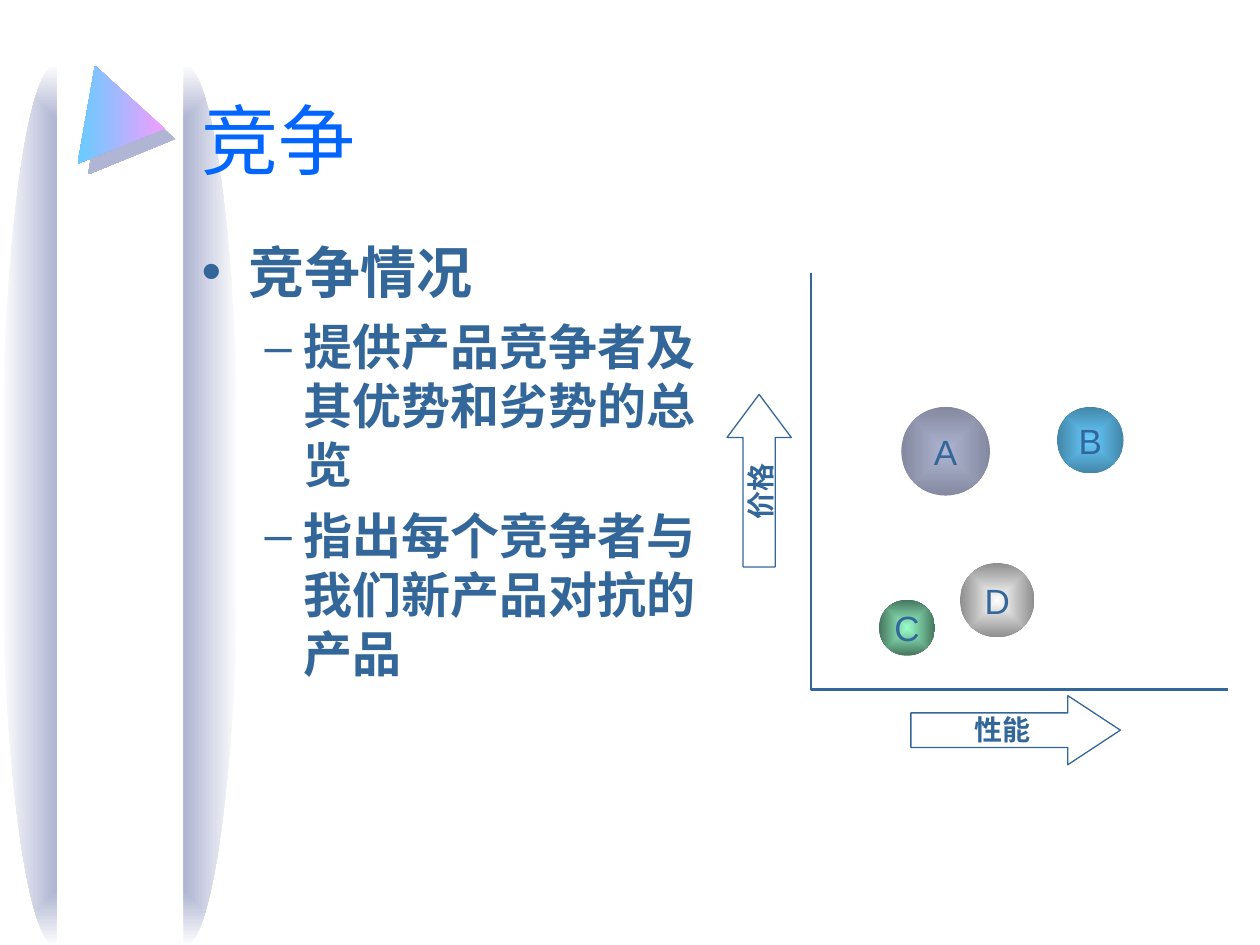
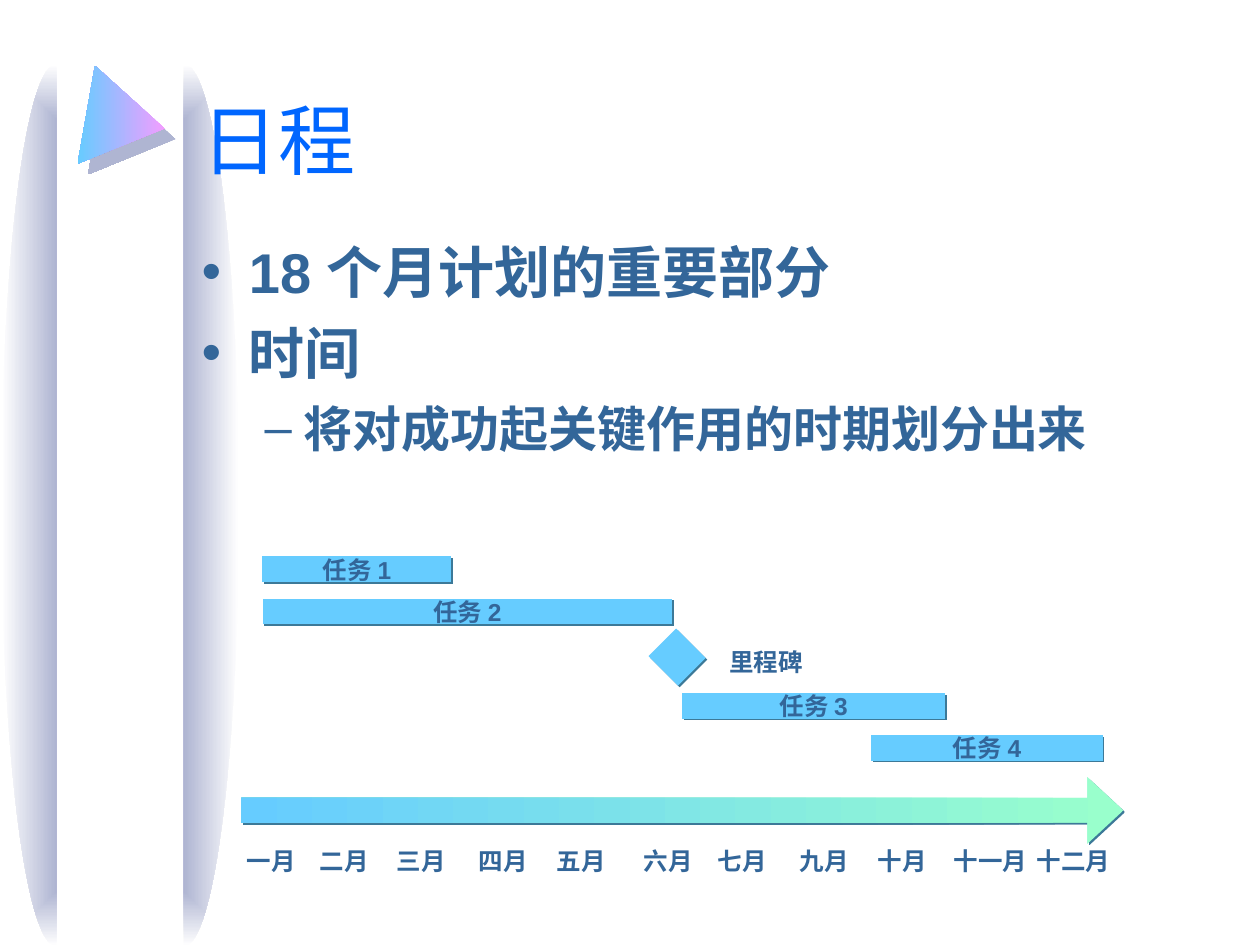
import dataclasses

import pptx
import pptx.dml.color
import pptx.enum.shapes
import pptx.enum.text
import pptx.oxml
import pptx.oxml.ns
import pptx.util

Pt = pptx.util.Pt
SHAPES = pptx.enum.shapes.MSO_SHAPE
ALIGN = pptx.enum.text.PP_ALIGN
ANCHOR = pptx.enum.text.MSO_ANCHOR
AUTO_SIZE = pptx.enum.text.MSO_AUTO_SIZE
qn = pptx.oxml.ns.qn


@dataclasses.dataclass(frozen=True)
class Theme:
    title: str = "0066FF"
    text: str = "336699"
    lavender: str = "AFB5D2"
    sky: str = "66CCFF"
    mint: str = "99FFCC"
    pink: str = "FF99FF"
    white: str = "FFFFFF"
    bar_shadow: str = "3C7998"
    title_font: str = "Times New Roman"
    font: str = "Arial"
    title_size: float = 44
    circle_size: float = 20
    axis_size: float = 16
    label_size: float = 14


THEME = Theme()

TITLE_BOX = (108, 19.44, 612, 90)
BODY_LEVELS = [
    {"size": 32, "bullet": "•", "left": 27, "hanging": 27, "before": 8},
    {"size": 28, "bullet": "–", "left": 58.5, "hanging": 22.5, "before": 7},
]
CRESCENTS = [(0.7, 90, 270), (73.7, 270, 90)]

COMPETITION = {
    "title": "竞争",
    "body_box": (108, 132, 306, 324),
    "body": [
        (0, "竞争情况"),
        (1, "提供产品竞争者及其优势和劣势的总览"),
        (1, "指出每个竞争者与我们新产品对抗的产品"),
    ],
}
COMPETITORS = [
    ("A", 515, 232.5, 50.7, THEME.lavender, "84899F"),
    ("B", 604, 232.5, 38, THEME.sky, "4386A8"),
    ("C", 502.3, 342.7, 32, THEME.mint, "46755E"),
    ("D", 548.6, 321.7, 42.5, THEME.white, "8E8E8E"),
]
AXES = [(463.5, 156), (463.5, 394), (702, 394)]
AXIS_ARROWS = [
    ("性能", (520.5, 397.5, 119.7, 39.5), 0, 0.76),
    ("价格", (384.5, 256.3, 98.6, 36.7), 270, 0.67),
]

SCHEDULE = {
    "title": "日程",
    "body_box": (108, 132, 612, 162),
    "body": [
        (0, "18 个月计划的重要部分"),
        (0, "时间"),
        (1, "将对成功起关键作用的时期划分出来"),
    ],
}
TASKS = [
    ("任务 1", 150, 318, 108),
    ("任务 2", 150, 342, 234),
    ("任务 3", 390, 396, 150),
    ("任务 4", 498, 420, 132),
]
TASK_HEIGHT = 14.7
MILESTONE = ("里程碑", (365.8, 358.6, 144, 31.7), (375.8, 363.6, 22.3, 23.8))
TIMELINE_BOX = (138, 444, 504, 38.2)
MONTHS = [
    ("一月", 134), ("二月", 175.7), ("三月", 219.6), ("四月", 266.4),
    ("五月", 311), ("六月", 360.7), ("七月", 403.2), ("九月", 450),
    ("十月", 494.6), ("十一月", 537.8), ("十二月", 585.4),
]
MONTH_TOP, MONTH_HEIGHT = 480.2, 24.5


def rgb(color):
    return pptx.dml.color.RGBColor.from_string(color)


def points(values):
    return [Pt(value) for value in values]


def place(shape, box):
    shape.left, shape.top, shape.width, shape.height = points(box)


def format_runs(paragraph, size, color=THEME.text, font=THEME.font, bold=True):
    for run in paragraph.runs:
        run.font.size = Pt(size)
        run.font.name = font
        run.font.bold = bold
        run.font.color.rgb = rgb(color)


def write(shape, text, size, bold=True, align=ALIGN.CENTER, anchor=ANCHOR.MIDDLE,
          insets=(7.2, 3.6, 7.2, 3.6), wrap=False):
    frame = shape.text_frame
    frame.text = text
    frame.word_wrap = wrap
    frame.vertical_anchor = anchor
    (frame.margin_left, frame.margin_top,
     frame.margin_right, frame.margin_bottom) = points(insets)
    frame.paragraphs[0].alignment = align
    format_runs(frame.paragraphs[0], size, bold=bold)


def add_plain_shape(slide, kind, box, fill=None, line=None):
    shape = slide.shapes.add_shape(kind, *points(box))
    shape.shadow.inherit = False
    if fill:
        shape.fill.solid()
        shape.fill.fore_color.rgb = rgb(fill)
    if line:
        shape.line.color.rgb = rgb(line)
        shape.line.width = Pt(0.75)
    else:
        shape.line.fill.background()
    return shape


def set_gradient(shape, first, last, from_center=False):
    shape.fill.gradient()
    for stop, color in zip(shape.fill.gradient_stops, (first, last)):
        stop.color.rgb = rgb(color)
    shape.fill.gradient_angle = 180
    gradient = shape.element.spPr.find(qn("a:gradFill"))
    gradient.set("rotWithShape", "0")
    if from_center:
        gradient.remove(gradient.find(qn("a:lin")))
        gradient.append(pptx.oxml.parse_xml(
            f'<a:path {pptx.oxml.ns.nsdecls("a")} path="rect">'
            '<a:fillToRect l="50000" t="50000" r="50000" b="50000"/></a:path>'))


def set_shadow(shape, color, distance):
    effects = shape.element.spPr.find(qn("a:effectLst"))
    effects.append(pptx.oxml.parse_xml(
        f'<a:outerShdw {pptx.oxml.ns.nsdecls("a")} dist="{Pt(distance)}" dir="2700000" '
        f'algn="ctr" rotWithShape="0"><a:srgbClr val="{color}"/></a:outerShdw>'))


def set_bullet(paragraph, style):
    properties = paragraph._p.get_or_add_pPr()
    properties.set("marL", str(Pt(style["left"])))
    properties.set("indent", str(-Pt(style["hanging"])))
    namespace = pptx.oxml.ns.nsdecls("a")
    for markup in (
        f'<a:buClr {namespace}><a:srgbClr val="{THEME.text}"/></a:buClr>',
        f'<a:buFont {namespace} typeface="{THEME.font}"/>',
        f'<a:buChar {namespace} char="{style["bullet"]}"/>',
    ):
        properties.append(pptx.oxml.parse_xml(markup))


def add_layout_decoration(slide, layout):
    decorations = []
    for left, start, end in CRESCENTS:
        crescent = add_plain_shape(slide, SHAPES.ARC, (left, 36.7, 62.9, 504))
        crescent.adjustments[0] = start * 0.6
        crescent.adjustments[1] = end * 0.6
        set_gradient(crescent, THEME.lavender, THEME.white, from_center=True)
        decorations.append(crescent)
    triangle = add_plain_shape(slide, SHAPES.ISOSCELES_TRIANGLE, (43.2, 46.8, 56.9, 45.4))
    triangle.rotation = 100
    set_gradient(triangle, THEME.pink, THEME.sky)
    set_shadow(triangle, THEME.lavender, 8.5)
    decorations.append(triangle)
    for position, shape in enumerate(decorations, start=2):
        layout.shapes.element.insert(position, shape.element)


def fill_placeholders(slide, content):
    title, body = slide.shapes.title, slide.placeholders[1]
    place(title, TITLE_BOX)
    title.text_frame.text = content["title"]
    title.text_frame.vertical_anchor = ANCHOR.BOTTOM
    title.text_frame.auto_size = AUTO_SIZE.NONE
    heading = title.text_frame.paragraphs[0]
    heading.alignment = ALIGN.LEFT
    format_runs(heading, THEME.title_size, THEME.title, THEME.title_font, bold=False)

    place(body, content["body_box"])
    body.text_frame.text = "\n".join(text for level, text in content["body"])
    body.text_frame.auto_size = AUTO_SIZE.NONE
    for paragraph, (level, text) in zip(body.text_frame.paragraphs, content["body"]):
        style = BODY_LEVELS[level]
        paragraph.level = level
        paragraph.space_before = Pt(style["before"])
        set_bullet(paragraph, style)
        format_runs(paragraph, style["size"])


def draw_competition(slide):
    for name, left, top, diameter, center, edge in COMPETITORS:
        circle = add_plain_shape(slide, SHAPES.OVAL, (left, top, diameter, diameter))
        set_gradient(circle, center, edge, from_center=True)
        write(circle, name, THEME.circle_size, bold=False, insets=(0, 0, 0, 0))

    builder = slide.shapes.build_freeform(*points(AXES[0]))
    builder.add_line_segments([points(corner) for corner in AXES[1:]], close=False)
    axes = builder.convert_to_shape()
    axes.shadow.inherit = False
    axes.fill.background()
    axes.line.color.rgb = rgb(THEME.text)
    axes.line.width = Pt(1.5)

    for label, box, rotation, head in AXIS_ARROWS:
        arrow = add_plain_shape(slide, SHAPES.RIGHT_ARROW, box, THEME.white, THEME.text)
        arrow.rotation = rotation
        arrow.adjustments[1] = head
        write(arrow, label, THEME.axis_size, anchor=ANCHOR.TOP, insets=(0, 0, 0, 0))


def draw_schedule(slide):
    for name, left, top, width in TASKS:
        bar = add_plain_shape(slide, SHAPES.FLOWCHART_PROCESS,
                              (left, top, width, TASK_HEIGHT), THEME.sky)
        set_shadow(bar, THEME.bar_shadow, 1.4)
        write(bar, name, THEME.label_size)

    name, label_box, diamond_box = MILESTONE
    label = slide.shapes.add_textbox(*points(label_box))
    write(label, name, THEME.label_size, insets=(7.2, 10.8, 7.2, 3.6), wrap=True)
    diamond = add_plain_shape(slide, SHAPES.RECTANGLE, diamond_box, THEME.sky)
    diamond.rotation = 315
    set_shadow(diamond, THEME.bar_shadow, 1.4)

    timeline = add_plain_shape(slide, SHAPES.RIGHT_ARROW, TIMELINE_BOX)
    timeline.adjustments[0] = 0.37
    timeline.adjustments[1] = 0.54
    set_gradient(timeline, THEME.mint, THEME.sky)
    set_shadow(timeline, THEME.bar_shadow, 1.4)

    for name, left in MONTHS:
        width = 14.4 + len(name) * THEME.label_size
        month = slide.shapes.add_textbox(*points((left, MONTH_TOP, width, MONTH_HEIGHT)))
        write(month, name, THEME.label_size, align=ALIGN.LEFT, anchor=ANCHOR.TOP)


def main():
    presentation = pptx.Presentation()
    presentation.slide_width, presentation.slide_height = points((720, 540))
    layout = presentation.slide_layouts[1]
    pages = [(COMPETITION, draw_competition), (SCHEDULE, draw_schedule)]
    for number, (content, draw) in enumerate(pages):
        slide = presentation.slides.add_slide(layout)
        if number == 0:
            add_layout_decoration(slide, layout)
        fill_placeholders(slide, content)
        draw(slide)
    presentation.save("out.pptx")


if __name__ == "__main__":
    main()
